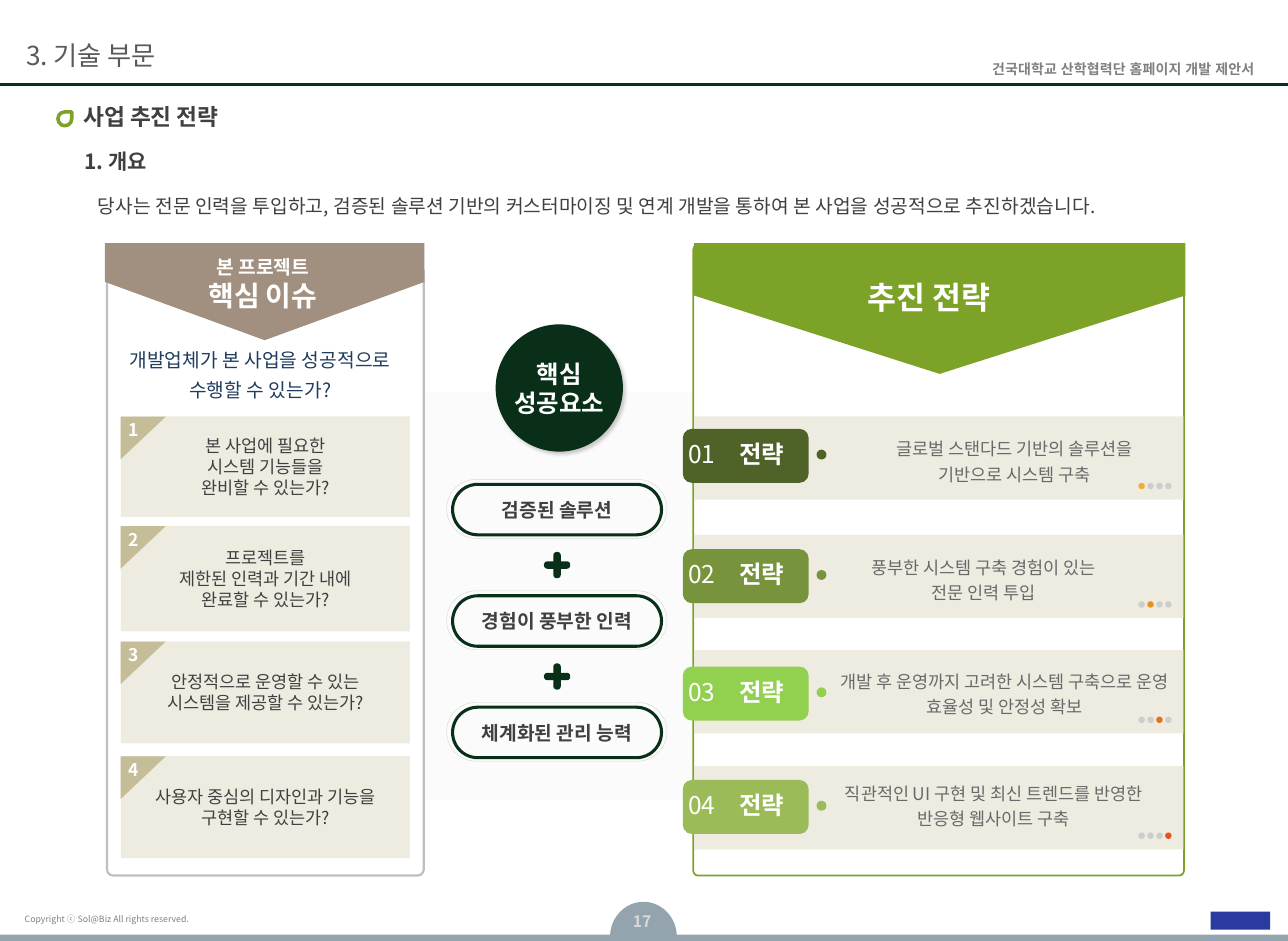
from dataclasses import dataclass

from lxml import etree
from pptx import Presentation
from pptx import util as u
from pptx.dml.color import RGBColor
from pptx.enum import shapes, text
from pptx.oxml import ns

SH = shapes.MSO_SHAPE
AL = text.PP_ALIGN
AN = text.MSO_ANCHOR


@dataclass(frozen=True)
class Theme:
    font: str = "Noto Sans CJK KR"
    header_font: str = "Arial"
    white: str = "FFFFFF"
    ink: str = "404040"
    soft: str = "696969"
    section: str = "595959"
    grey: str = "808080"
    pale: str = "D9D9D9"
    frame: str = "BFBFBF"
    panel: str = "FBFBFB"
    card: str = "EEECE1"
    corner: str = "C4BD97"
    pip: str = "CDCDCD"
    forest: str = "092F19"
    rule: str = "093019"
    green: str = "7CA228"
    brown: str = "A1907F"
    navy: str = "203C5E"
    slate: str = "93A4AE"
    logo: str = "293B9F"
    tiny: int = 5
    small: int = 8
    page: int = 9
    body: int = 10
    lead: int = 11
    sub: int = 12
    title: int = 13
    tag: int = 14
    section_size: int = 15
    issue: int = 16
    banner: int = 18


T = Theme()


def shape(s, kind, x, y, w, h, fill=None, line=None, width=1, adj=(), rot=0):
    sp = s.shapes.add_shape(kind, u.Cm(x), u.Cm(y), u.Cm(w), u.Cm(h))
    sp.shadow.inherit = False
    sp.rotation = rot
    for i, value in enumerate(adj):
        sp.adjustments[i] = value
    if fill:
        sp.fill.solid()
        sp.fill.fore_color.rgb = RGBColor.from_string(fill)
    else:
        sp.fill.background()
    if line:
        sp.line.color.rgb = RGBColor.from_string(line)
        sp.line.width = u.Pt(width)
    else:
        sp.line.fill.background()
    return sp


def write(sp, content, size=T.body, color=T.ink, bold=False, align=AL.CENTER,
          anchor=AN.MIDDLE, inset=(0, 0), spacing=None, wrap=True, font=T.font):
    tf = sp.text_frame
    tf.auto_size = text.MSO_AUTO_SIZE.NONE
    tf.word_wrap = wrap
    tf.vertical_anchor = anchor
    tf.margin_left = tf.margin_right = u.Cm(inset[0])
    tf.margin_top = tf.margin_bottom = u.Cm(inset[1])
    lines = content.split("\n")
    sizes = size if isinstance(size, tuple) else (size,) * len(lines)
    for i, (line, points) in enumerate(zip(lines, sizes)):
        p = tf.add_paragraph() if i else tf.paragraphs[0]
        p.alignment = align
        p.line_spacing = spacing
        r = p.add_run()
        r.text = line
        r.font.size = u.Pt(points)
        r.font.bold = bold
        r.font.name = font
        r.font.color.rgb = RGBColor.from_string(color)
        ea = etree.SubElement(r.font._element, ns.qn("a:ea"))
        ea.set("typeface", font)


def label(s, x, y, w, h, content, **fmt):
    sp = s.shapes.add_textbox(u.Cm(x), u.Cm(y), u.Cm(w), u.Cm(h))
    write(sp, content, **fmt)


def pennant(s, x, y, w, h, fill):
    shape(s, SH.PENTAGON, x + (w - h) / 2, y + (h - w) / 2, h, w, fill, adj=[0.6], rot=90)


def drop_shadow(sp):
    effects = sp._element.spPr.find(ns.qn("a:effectLst"))
    shadow = etree.SubElement(effects, ns.qn("a:outerShdw"),
                              blurRad="25400", dist="25400", dir="2700000")
    color = etree.SubElement(shadow, ns.qn("a:srgbClr"), val=T.grey)
    etree.SubElement(color, ns.qn("a:alpha"), val="40000")


def header(s, x, y, w, h):
    line = s.shapes.add_connector(shapes.MSO_CONNECTOR.STRAIGHT,
                                  u.Cm(x), u.Cm(y + h), u.Cm(x + w), u.Cm(y + h))
    line.line.color.rgb = RGBColor.from_string(T.rule)
    line.line.width = u.Pt(1.5)
    etree.SubElement(line._element.spPr, ns.qn("a:effectLst"))
    label(s, x + 0.53, y + 0.56, 15, 1.12, "3. 기술 부문", size=T.section_size,
          color=T.section, align=AL.LEFT)
    label(s, x + w - 7.04, y + 1.11, 6.6, 0.58, "건국대학교 산학협력단 홈페이지 개발 제안서",
          size=T.small, color=T.grey, bold=True, align=AL.RIGHT, inset=(0.23, 0),
          font=T.header_font)


def footer(s, x, y, w, h):
    shape(s, SH.CHORD, x + 12.32, y, 1.35, 1.42, T.slate, adj=[108.41, 214.66])
    shape(s, SH.RECTANGLE, x, y + h - 0.13, w, 0.13, T.slate)
    label(s, x + 0.3, y + 0.12, 6.63, 0.46, "Copyright ⓒ Sol@Biz All rights reserved.",
          size=T.tiny, color=T.grey, align=AL.LEFT, inset=(0.2, 0))
    label(s, x + 12.32, y + 0.1, 1.3, 0.6, "17", size=T.page, color=T.pale, bold=True)
    shape(s, SH.RECTANGLE, x + w - 1.56, y + 0.2, 1.2, 0.36, T.logo)


def intro(s, x, y, w, h):
    shape(s, SH.TEAR, x, y + 0.18, 0.28, 0.28, T.white, T.green, 2)
    title = s.shapes.title
    title.left, title.top = u.Cm(x + 0.51), u.Cm(y)
    title.width, title.height = u.Cm(w), u.Cm(0.56)
    write(title, "사업 추진 전략", size=T.title, bold=True, align=AL.LEFT)
    label(s, x + 0.53, y + 0.92, 12.88, 0.51, "1. 개요", size=T.sub, bold=True, align=AL.LEFT)
    label(s, x + 0.56, y + 1.63, w, h - 1.63,
          "당사는 전문 인력을 투입하고, 검증된 솔루션 기반의 커스터마이징 및 연계 개발을 통하여 "
          "본 사업을 성공적으로 추진하겠습니다.",
          size=T.lead, align=AL.JUSTIFY, anchor=AN.TOP, inset=(0.25, 0.13), spacing=1.2)


def issues(s, x, y, w, h):
    shape(s, SH.ROUNDED_RECTANGLE, x, y, w, h, T.white, T.frame, 1.25, [0.02])
    pennant(s, x - 0.04, y - 0.45, w + 0.05, 1.96, T.brown)
    label(s, x + 0.66, y - 0.03, 4.98, 0.81, "본 프로젝트\n핵심 이슈",
          size=(T.lead, T.issue), color=T.white, bold=True, wrap=False)
    label(s, x + 0.02, y + 1.4, 6.15, 1.47, "개발업체가 본 사업을 성공적으로 수행할 수 있는가?",
          size=T.lead, color=T.navy, anchor=AN.TOP, inset=(0.25, 0.13), spacing=1.3)
    cards = [
        (3.05, 2.03, "본 사업에 필요한\n시스템 기능들을\n완비할 수 있는가?"),
        (5.26, 2.13, "프로젝트를\n제한된 인력과 기간 내에\n완료할 수 있는가?"),
        (7.59, 2.06, "안정적으로 운영할 수 있는\n시스템을 제공할 수 있는가?"),
        (9.91, 2.06, "사용자 중심의 디자인과 기능을\n구현할 수 있는가?"),
    ]
    for number, (dy, height, question) in enumerate(cards, 1):
        left, top = x + 0.28, y + dy
        card = shape(s, SH.RECTANGLE, left, top, 5.84, height, T.card)
        write(card, question, wrap=False)
        shape(s, SH.RIGHT_TRIANGLE, left + 0.02, top - 0.02, 0.86, 0.91, T.corner, rot=90)
        label(s, left - 0.08, top - 0.06, 0.69, 0.66, str(number),
              color=T.white, bold=True, wrap=False)


def success_factors(s, x, y, w, h):
    shape(s, SH.FLOWCHART_PROCESS, x, y, w, h, T.panel)
    circle = shape(s, SH.OVAL, x + 1.45, y - 1.37, 2.57, 2.57, T.forest)
    drop_shadow(circle)
    write(circle, "핵심\n성공요소", size=T.tag, color=T.white, bold=True, wrap=False)
    pitch, arm, bar = 2.25, 0.53, 0.15
    for i, factor in enumerate(["검증된 솔루션", "경험이 풍부한 인력", "체계화된 관리 능력"]):
        top = y + 1.76 + i * pitch
        shape(s, SH.ROUNDED_RECTANGLE, x + 0.46, top, 4.45, 1.19, T.panel, T.pale, 0.25, [0.5])
        pill = shape(s, SH.ROUNDED_RECTANGLE, x + 0.58, top + 0.1, 4.22, 1.02,
                     line=T.forest, width=1.75, adj=[0.5])
        write(pill, factor, size=T.lead, bold=True, wrap=False)
        if i:
            for rot in (0, 90):
                shape(s, SH.ROUNDED_RECTANGLE, x + 2.69 - bar / 2, top - 0.52 - arm / 2,
                      bar, arm, T.forest, adj=[0.44], rot=rot)


def strategies(s, x, y, w, h):
    shape(s, SH.ROUNDED_RECTANGLE, x, y, w, h, line=T.green, adj=[0.01])
    rows = [
        (3.46, 0.25, 0.23, 7.65, "4F6228", "EDB037", "글로벌 스탠다드 기반의 솔루션을\n기반으로 시스템 구축"),
        (5.85, 0.29, 0.23, 6.4, "77933C", "E1921F", "풍부한 시스템 구축 경험이 있는\n전문 인력 투입"),
        (8.18, 0.33, 0.2, 7.26, "92D050", "E2721E",
         "개발 후 운영까지 고려한 시스템 구축으로 운영 효율성 및 안정성 확보"),
        (10.52, 0.28, 0.13, 6.81, "9BBB59", "E5551B",
         "직관적인 UI 구현 및 최신 트렌드를 반영한 반응형 웹사이트 구축"),
    ]
    for i, (dy, tag_dy, text_dy, width, color, active, content) in enumerate(rows):
        top = y + dy
        tag = top + tag_dy
        shape(s, SH.RECTANGLE, x + 0.02, top, w - 0.03, 1.68, T.card)
        label(s, x + 2.66, top + text_dy, width, 1.27, content, color=T.soft,
              anchor=AN.TOP, inset=(0.25, 0.13), spacing=1.2)
        for j in range(4):
            shape(s, SH.OVAL, x + 8.99 + j * 0.18, top + 1.34, 0.13, 0.13,
                  active if i == j else T.pip)
        shape(s, SH.ROUNDED_RECTANGLE, x - 0.21, tag, 2.54, 1.09, color)
        label(s, x - 0.4, tag, 1.14, 1, f"{i + 1:02}", size=T.tag, color=T.white, wrap=False)
        label(s, x + 0.63, tag, 1.5, 1, "전략", size=T.tag, color=T.white, bold=True, wrap=False)
        shape(s, SH.OVAL, x + 2.49, tag + 0.42, 0.2, 0.2, color)
    pennant(s, x + 0.01, y - 0.04, w + 0.02, 2.64, T.green)
    label(s, x + 2.08, y + 0.54, 5.36, 1.02, "추진 전략", size=T.banner, color=T.white, bold=True)


def main():
    prs = Presentation()
    prs.slide_width, prs.slide_height = u.Cm(26.01), u.Cm(19)
    s = prs.slides.add_slide(prs.slide_layouts[5])
    header(s, 0, 0, 26.01, 1.7)
    footer(s, 0, 18.21, 26.01, 0.79)
    intro(s, 1.17, 2.08, 23.5, 2.6)
    success_factors(s, 8.56, 7.92, 5.46, 8.23)
    issues(s, 2.16, 5.36, 6.4, 12.32)
    strategies(s, 14, 4.95, 9.91, 12.73)
    prs.save("out.pptx")


if __name__ == "__main__":
    main()
